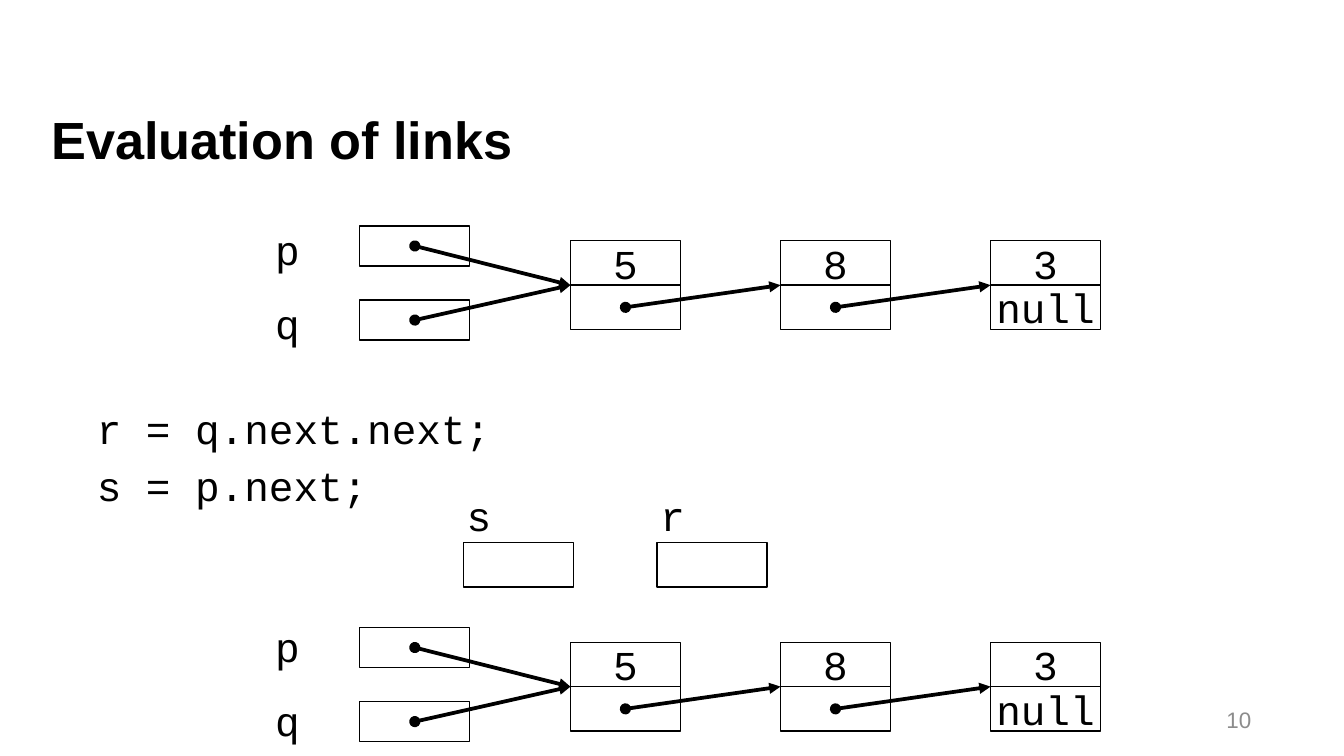
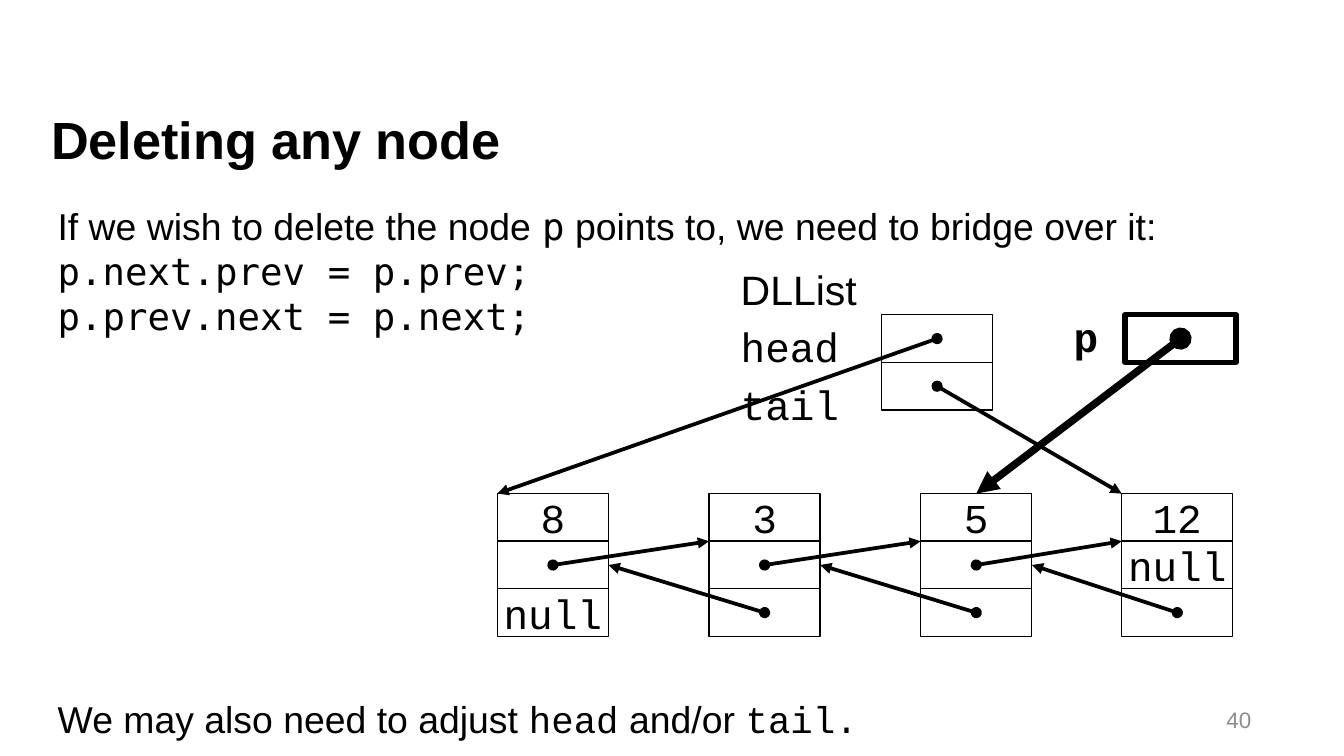
import pptx
import pptx.util
import pptx.dml.color
import pptx.enum.shapes
import pptx.enum.text
import lxml.etree

Cm, Pt = pptx.util.Cm, pptx.util.Pt
RGB = pptx.dml.color.RGBColor
ALIGN = pptx.enum.text.PP_ALIGN
ANCHOR = pptx.enum.text.MSO_ANCHOR
SHAPE = pptx.enum.shapes

COLORS = {"ink": "000000", "page": "8C8C8C"}
SANS, CODE, MONO = "Arial", "Courier New", "DejaVu Sans Mono"
NS = "http://schemas.openxmlformats.org/drawingml/2006/main"


def box(s, x, y, w, h, lines=(), line=None, size=22, bold=False, color="ink",
        align=ALIGN.LEFT, anchor=ANCHOR.TOP, before=4.4):
    """Outlined cell, or plain text when line is None; a line is a list of (text, font) runs."""
    place = Cm(x), Cm(y), Cm(w), Cm(h)
    if line is None:
        sp = s.shapes.add_textbox(*place)
    else:
        sp = s.shapes.add_shape(SHAPE.MSO_SHAPE.RECTANGLE, *place)
        sp.shadow.inherit = False
        sp.fill.background()
        sp.line.color.rgb = RGB.from_string(COLORS["ink"])
        sp.line.width = Pt(line)
    tf = sp.text_frame
    tf.word_wrap = True
    tf.vertical_anchor = anchor
    tf.margin_left = tf.margin_top = tf.margin_right = tf.margin_bottom = 0
    for i, runs in enumerate(lines):
        p = tf.add_paragraph() if i else tf.paragraphs[0]
        p.alignment = align
        p.space_before = Pt(before)
        for text, font in runs:
            r = p.add_run()
            r.text = text
            r.font.name = font
            r.font.size = Pt(size)
            r.font.bold = bold
            r.font.color.rgb = RGB.from_string(COLORS[color])
    return tf


def arrow(s, x1, y1, x2, y2, width=2):
    """Pointer with a dot at its start and a triangle at its target."""
    c = s.shapes.add_connector(SHAPE.MSO_CONNECTOR.STRAIGHT, Cm(x1), Cm(y1), Cm(x2), Cm(y2))
    c.line.color.rgb = RGB.from_string(COLORS["ink"])
    c.line.width = Pt(width)
    ln = c.line._get_or_add_ln()
    for end, kind in (("headEnd", "oval"), ("tailEnd", "triangle")):
        lxml.etree.SubElement(ln, f"{{{NS}}}{end}", type=kind)
    lxml.etree.SubElement(c._element.spPr, f"{{{NS}}}effectLst")


prs = pptx.Presentation()
prs.slide_width, prs.slide_height = Cm(25.4), Cm(14.29)
CELL = dict(line=0, align=ALIGN.CENTER, anchor=ANCHOR.MIDDLE)

# Titles and page numbers
slides = []
for title, number in (("Evaluation of links", "10"), ("Deleting any node", "40")):
    s = prs.slides.add_slide(prs.slide_layouts[6])
    tf = box(s, 18.19, 13.23, 5.71, 0.76, [[(number, SANS)]], size=12, color="page",
             align=ALIGN.RIGHT, anchor=ANCHOR.MIDDLE, before=0)
    tf.margin_right = Cm(0.25)
    box(s, 0.97, 2.03, 23.39, 1.8, [[(title, SANS)]], size=28, bold=True, before=2.8)
    slides.append(s)

# Slide 1: the same linked list before and after the code
s = slides[0]
CELL_W, CELL_H = 2.08, 0.84
POINTER_X, POINTER_H, POINTER_GAP = 6.8, 0.76, 1.4
NODE_X, NODE_STEP = 10.78, 3.97
for top, label_top in ((4.27, 4.24), (11.86, 11.75)):
    node_top = top + 0.28
    link_y = node_top + CELL_H
    # Variables pointing at the first node
    for i, name in enumerate("pq"):
        y = top + i * POINTER_GAP
        box(s, POINTER_X, y, CELL_W, POINTER_H, line=0)
        arrow(s, POINTER_X + CELL_W / 2, y + POINTER_H / 2, NODE_X, link_y)
        tf = box(s, 2.87, label_top + i * POINTER_GAP, 3.89, 0.89, [[(name, CODE)]])
        tf.margin_left = Cm(2.33)
    # Nodes: value above, link below
    for i, value in enumerate("583"):
        x = NODE_X + i * NODE_STEP
        last = i == 2
        box(s, x, node_top, CELL_W, CELL_H, [[(value, CODE)]], **CELL)
        box(s, x, link_y, CELL_W, CELL_H, [[("null", CODE)]] if last else [], **CELL)
        if not last:
            arrow(s, x + CELL_W / 2, link_y + CELL_H / 2, x + NODE_STEP, link_y)

# Code and the variables it sets
box(s, 1.83, 7.62, 8.2, 1.7, [[("r = q.next.next;", CODE)], [("s = p.next;", CODE)]])
for name, x in (("s", 8.76), ("r", 12.42)):
    box(s, x, 10.26, CELL_W, CELL_H, line=0)
    tf = box(s, x - 0.41, 9.28, 4.24, 0.89, [[(name, CODE)]])
    tf.margin_left = Cm(0.47)

# Slide 2: explanation
s = slides[1]
tf = box(s, 1.09, 3.84, 23.39, 9.14, [
    [("If we wish to delete the node ", SANS), ("p", MONO),
     (" points to, we need to bridge over it:", SANS)],
    [("p.next.prev = p.prev;", MONO)],
    [("p.prev.next = p.next;", MONO)],
    [("We may also need to adjust ", SANS), ("head", CODE), (" and/or ", SANS), ("tail.", CODE)],
], size=20, before=0)
for p in tf.paragraphs:
    p.line_spacing = Pt(24)
tf.paragraphs[-1].space_before = Pt(8 * 24)

# Doubly linked nodes: value, next, prev
CELL_W, CELL_H = 2.1, 0.9
NODE_TOP = 9.33
NEXT_Y, PREV_Y = NODE_TOP + CELL_H, NODE_TOP + 2 * CELL_H
node_xs = [9.4, 13.4, 17.4, 21.2]
nodes = [("8", "", "null"), ("3", "", ""), ("5", "", ""), ("12", "null", "")]
for x, cells in zip(node_xs, nodes):
    for row, text in enumerate(cells):
        box(s, x, NODE_TOP + row * CELL_H, CELL_W, CELL_H, [[(text, CODE)]] if text else [], **CELL)
for x, following in zip(node_xs, node_xs[1:]):
    arrow(s, x + CELL_W / 2, NEXT_Y + CELL_H / 2, following, NEXT_Y)
    arrow(s, following + CELL_W / 2, PREV_Y + CELL_H / 2, x + CELL_W, NEXT_Y + CELL_H / 2)

# List object with its head and tail
LIST_X, LIST_TOP = 16.66, 5.95
box(s, 14, 5, 2.74, 2.82, [[("DLList", SANS)], [("head", CODE)], [("tail", CODE)]])
for row, target in enumerate((node_xs[0], node_xs[-1])):
    y = LIST_TOP + row * CELL_H
    box(s, LIST_X, y, CELL_W, CELL_H, line=0)
    arrow(s, LIST_X + CELL_W / 2, y + CELL_H / 2, target, NODE_TOP)

# Pointer to the node being deleted
P_X = 21.26
box(s, P_X, LIST_TOP, CELL_W, CELL_H, line=2.83)
box(s, 20.29, 5.89, 0.76, 0.89, [[("p", CODE)]], bold=True)
arrow(s, P_X + CELL_W / 2, LIST_TOP + CELL_H / 2, node_xs[2] + CELL_W / 2, NODE_TOP, width=4)

prs.save("out.pptx")
